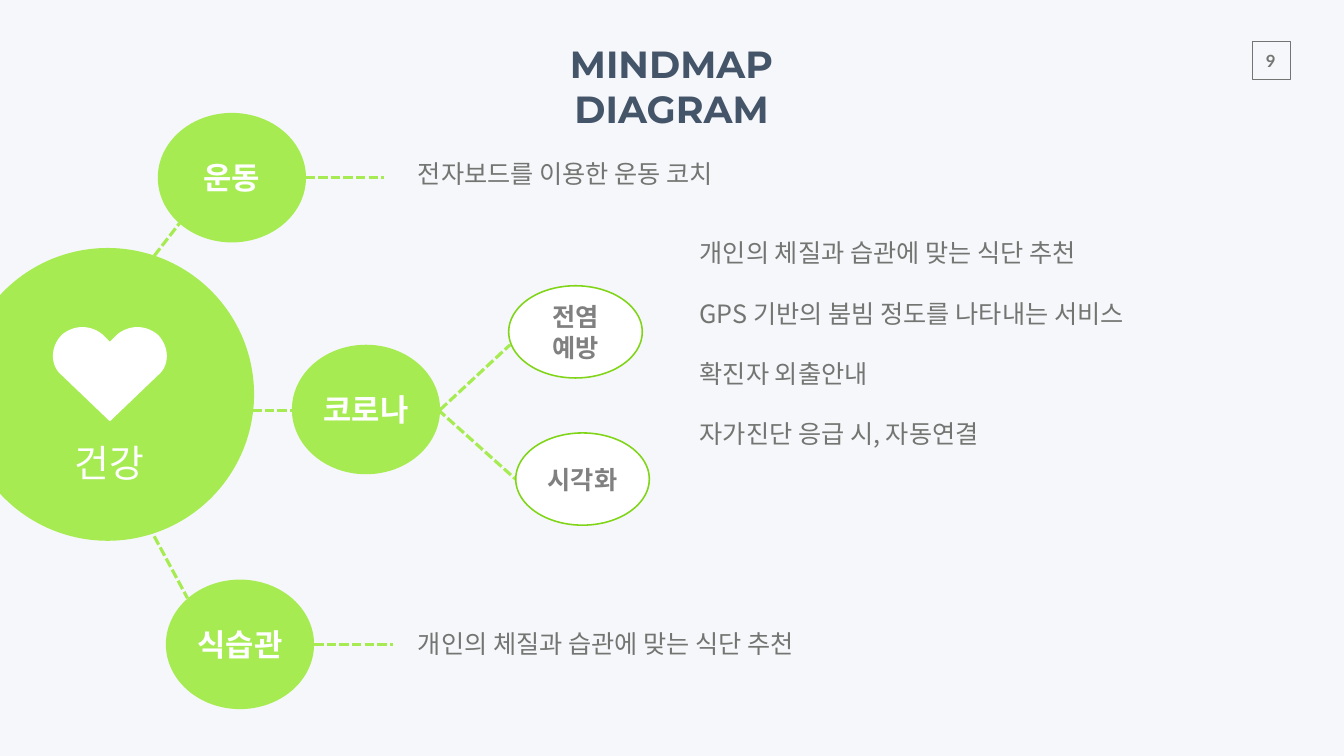
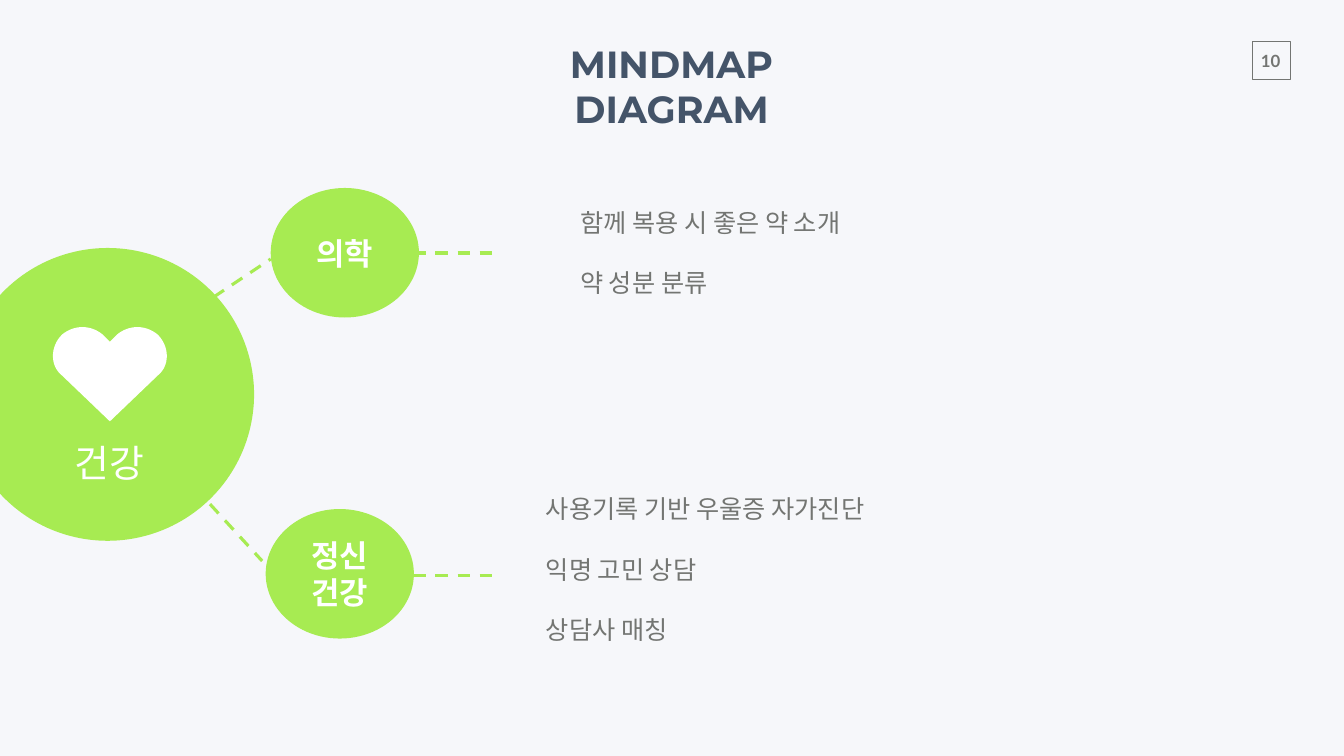
from pptx import Presentation
from pptx.dml.color import RGBColor
from pptx.enum.dml import MSO_LINE
from pptx.enum.shapes import MSO_CONNECTOR, MSO_SHAPE
from pptx.enum.text import MSO_ANCHOR, PP_ALIGN
from pptx.oxml.ns import qn
from pptx.util import Cm, Pt
from lxml.etree import SubElement

BACKGROUND = RGBColor(0xF6, 0xF7, 0xFA)
LIME = RGBColor(0xA7, 0xEB, 0x52)
GREEN = RGBColor(0x81, 0xD5, 0x19)
NAVY = RGBColor(0x44, 0x54, 0x69)
GREY = RGBColor(0x73, 0x75, 0x72)
MID_GREY = RGBColor(0x80, 0x80, 0x80)
WHITE = RGBColor(0xFF, 0xFF, 0xFF)
HEAD, LABEL, BODY = "Montserrat", "Lato", "Noto Sans CJK KR"

# Content; all places are on an inch grid
TITLE = "MINDMAP DIAGRAM"
CORE = "건강"
TOPIC_SIZE, BRANCH_SIZE = (2.94, 2.57), (2.65, 1.83)
SLIDES = [
    dict(
        number=9, dash=MSO_LINE.SQUARE_DOT,
        topics=[(3.13, 2.24, ["운동"]), (5.79, 6.84, ["코로나"]),
                (3.29, 11.5, ["식습관"])],
        branches=[(10.09, 5.67, ["전염", "예방"]), (10.23, 8.59, ["시각화"])],
        links=[(6.06, 3.52, 7.62, 3.52), (8.73, 8.13, 10.12, 6.84),
               (6.23, 12.78, 7.79, 12.78), (8.69, 8.13, 10.23, 9.51),
               (4.5, 8.15, 6.06, 8.15), (2.6, 5.67, 3.56, 4.43),
               (2.94, 10.42, 3.72, 11.87)],
        notes=[(8.19, 3.1, 6.77, ["전자보드를 이용한 운동 코치"]),
               (13.78, 4.67, 12.8, ["개인의 체질과 습관에 맞는 식단 추천",
                                    "GPS 기반의 붐빔 정도를 나타내는 서비스",
                                    "확진자 외출안내",
                                    "자가진단 응급 시, 자동연결"]),
               (8.19, 12.43, 8.62, ["개인의 체질과 습관에 맞는 식단 추천"])]),
    dict(
        number=10, dash=MSO_LINE.DASH,
        topics=[(5.37, 3.73, ["의학"]), (5.27, 10.1, ["정신", "건강"])],
        branches=[],
        links=[(8.2, 11.42, 9.77, 11.42), (3.87, 6.14, 5.37, 5.14),
               (3.87, 9.68, 5.2, 11.13), (8.2, 5.02, 9.76, 5.02)],
        notes=[(10.73, 9.75, 7.77, ["사용기록 기반 우울증 자가진단",
                                    "익명 고민 상담", "상담사 매칭"]),
               (11.41, 4.06, 6.77, ["함께 복용 시 좋은 약 소개",
                                    "약 성분 분류"])]),
]


def grid(*values):
    return [Cm(v * 2.54) for v in values]


def write(tf, lines, size=36, font=LABEL, color=WHITE, bold=False,
          align=PP_ALIGN.CENTER, anchor=MSO_ANCHOR.MIDDLE, pitch=None, wrap=True):
    """Fill a text frame, one paragraph a line; pitch sets line height and gap."""
    tf.word_wrap = wrap
    tf.vertical_anchor = anchor
    for i, line in enumerate(lines):
        p = tf.paragraphs[0] if i == 0 else tf.add_paragraph()
        p.alignment = align
        if pitch:
            p.line_spacing = p.space_after = Pt(pitch)
        r = p.add_run()
        r.text = line
        r.font.size, r.font.bold = Pt(size), bold
        r.font.color.rgb = color
        r.font.name = font
        SubElement(r.font._element, qn("a:ea")).set("typeface", font)


def add_text(shapes, box, lines, inset=(0.1, 0.05), **fmt):
    tf = shapes.add_textbox(*grid(*box)).text_frame
    tf.margin_left = tf.margin_right = grid(inset[0])[0]
    tf.margin_top = tf.margin_bottom = grid(inset[1])[0]
    write(tf, lines, **fmt)


def paint(sp, fill=None, line=None, width=1):
    sp.shadow.inherit = False
    if fill is None:
        sp.fill.background()
    else:
        sp.fill.solid()
        sp.fill.fore_color.rgb = fill
    if line is None:
        sp.line.fill.background()
    else:
        sp.line.color.rgb = line
        sp.line.width = Pt(width)


def add_shape(shapes, kind, box, **style):
    sp = shapes.add_shape(kind, *grid(*box))
    paint(sp, **style)
    return sp


def add_link(shapes, ends, dash):
    c = shapes.add_connector(MSO_CONNECTOR.STRAIGHT, *grid(*ends))
    c.line.color.rgb = LIME
    c.line.width = Pt(4.5)
    c.line.dash_style = dash
    SubElement(c._element.spPr, qn("a:effectLst"))


def curve(a, b, c, d, steps=16):
    """Points on a cubic curve."""
    points = []
    for i in range(steps + 1):
        t = i / steps
        u = 1 - t
        points.append(tuple(u**3 * a[k] + 3 * u * u * t * b[k]
                            + 3 * u * t * t * c[k] + t**3 * d[k] for k in (0, 1)))
    return points


def add_heart(shapes):
    middle = 2.18
    left = ([(middle, 6.78)]
            + curve((2.04, 6.64), (1.8, 6.44), (1.47, 6.44), (1.23, 6.64))
            + curve((1.23, 6.64), (0.99, 6.88), (0.99, 7.26), (1.23, 7.45))
            + [(middle, 8.36)])
    right = [(2 * middle - x, y) for x, y in reversed(left)]
    points = [grid(*xy) for xy in left + right]
    outline = shapes.build_freeform(*points[0])
    outline.add_line_segments(points[1:], close=True)
    paint(outline.convert_to_shape(), fill=WHITE)


def add_frame(shapes, number):
    """Page number and title."""
    add_shape(shapes, MSO_SHAPE.RECTANGLE, (24.84, 0.82, 0.75, 0.75), line=GREY)
    add_text(shapes, (24.8, 0.9, 0.81, 0.61), [str(number)], inset=(0.2, 0.1),
             size=24, color=GREY, bold=True, anchor=MSO_ANCHOR.TOP, wrap=False)
    add_text(shapes, (9.13, 1.12, 8.38, 1.18), [TITLE], inset=(0.27, 0.13),
             size=54, font=HEAD, color=NAVY, bold=True)


def add_core(shapes):
    """Central circle with its heart and label."""
    group = shapes.add_group_shape().shapes
    add_shape(group, MSO_SHAPE.OVAL, (-0.77, 4.92, 5.81, 5.81), fill=LIME)
    add_text(group, (1.15, 8.59, 2.05, 1.18), [CORE], inset=(0.27, 0.13),
             size=54, wrap=False)
    add_heart(group)


prs = Presentation()
prs.slide_width, prs.slide_height = grid(26.66, 15)

for page in SLIDES:
    s = prs.slides.add_slide(prs.slide_layouts[6])
    s.background.fill.solid()
    s.background.fill.fore_color.rgb = BACKGROUND
    add_frame(s.shapes, page["number"])
    # Links lie under the bubbles
    for ends in page["links"]:
        add_link(s.shapes, ends, page["dash"])
    add_core(s.shapes)
    for x, y, lines in page["topics"]:
        sp = add_shape(s.shapes, MSO_SHAPE.OVAL, (x, y, *TOPIC_SIZE), fill=LIME)
        write(sp.text_frame, lines, size=44, bold=True)
    for x, y, lines in page["branches"]:
        sp = add_shape(s.shapes, MSO_SHAPE.OVAL, (x, y, *BRANCH_SIZE),
                       fill=WHITE, line=GREEN, width=2.25)
        write(sp.text_frame, lines, color=MID_GREY, bold=True)
    # Each note line is followed by a gap of one line
    for x, y, width, lines in page["notes"]:
        height = 0.1 + 0.6 * (2 * len(lines) - 1)
        add_text(s.shapes, (x, y, width, height), lines, font=BODY, color=GREY,
                 align=PP_ALIGN.LEFT, anchor=MSO_ANCHOR.TOP, pitch=43)

prs.save("out.pptx")
